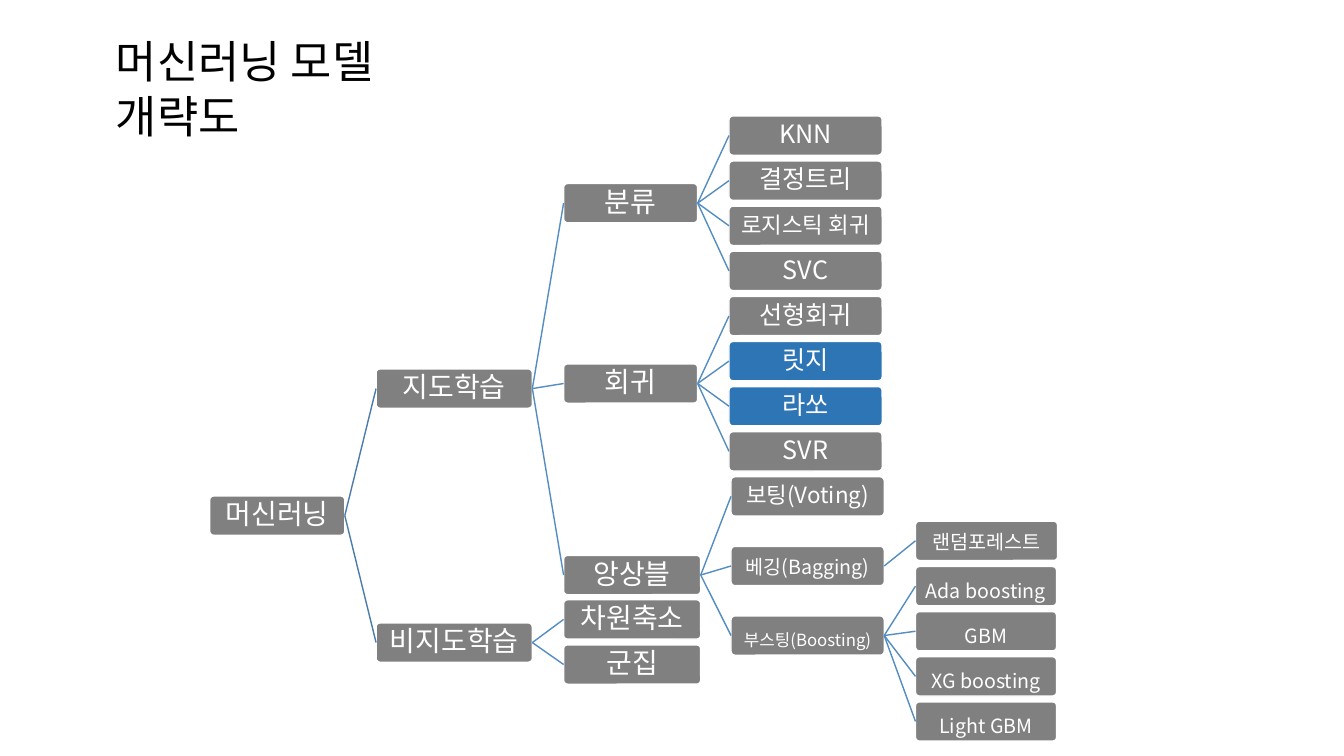
import pptx
import pptx.util
import pptx.dml.color
import pptx.enum.shapes
import pptx.enum.text
import pptx.oxml.ns
from lxml import etree
from pptx.util import Inches, Pt

RGBColor = pptx.dml.color.RGBColor
GRAY = RGBColor(0x80, 0x80, 0x80)
BLUE = RGBColor(0x2E, 0x75, 0xB6)
WHITE = RGBColor(0xFF, 0xFF, 0xFF)
BLACK = RGBColor(0, 0, 0)
ROOT_LINE = RGBColor(0x49, 0x7C, 0xAB)
BRANCH_LINE = RGBColor(0x53, 0x8D, 0xC1)
FONT = "Noto Sans CJK KR"
BOX_HEIGHT = 0.39
ROW = 0.4475
ROOT = "머신러닝"
HIGHLIGHTED = {"릿지", "라쏘"}
TIGHT = {"베깅(Bagging)", "랜덤포레스트"}

# parent, left, first top, pitch, width, [(label, size)]
GROUPS = [
    (None, 2.08, 4.92, 0, 1.34, [(ROOT, 20)]),
    (ROOT, 3.73, 3.66, 2.52, 1.55, [("지도학습", 20), ("비지도학습", 20)]),
    ("지도학습", 5.59, 1.82, 4 * ROW, 1.33, [("분류", 20), ("회귀", 20)]),
    ("분류", 7.23, 1.15, ROW, 1.52,
     [("KNN", 18), ("결정트리", 18), ("로지스틱 회귀", 16), ("SVC", 18)]),
    ("회귀", 7.23, 2.94, ROW, 1.52,
     [("선형회귀", 18), ("릿지", 18), ("라쏘", 18), ("SVR", 18)]),
    ("지도학습", 5.59, 5.51, 0, 1.36, [("앙상블", 20)]),
    ("앙상블", 7.25, 4.73, 0.69, 1.52,
     [("보팅(Voting)", 16), ("베깅(Bagging)", 14), ("부스팅(Boosting)", 12)]),
    ("베깅(Bagging)", 9.08, 5.17, 0, 1.41, [("랜덤포레스트", 14)]),
    ("부스팅(Boosting)", 9.08, 5.62, ROW, 1.4,
     [("Ada boosting", 14), ("GBM", 14), ("XG boosting", 14), ("Light GBM", 14)]),
    ("비지도학습", 5.59, 5.95, ROW, 1.36, [("차원축소", 20), ("군집", 20)]),
]


def add_run(paragraph, text, size, color):
    run = paragraph.add_run()
    run.text = text
    run.font.size = Pt(size)
    run.font.color.rgb = color
    run.font.name = FONT
    latin = run.font._element.find(pptx.oxml.ns.qn("a:latin"))
    east_asian = etree.Element(pptx.oxml.ns.qn("a:ea"), typeface=FONT)
    latin.addnext(east_asian)


presentation = pptx.Presentation()
presentation.slide_width = Inches(13.33)
presentation.slide_height = Inches(7.5)
slide = presentation.slides.add_slide(presentation.slide_layouts[5])

title = slide.shapes.title
title.left, title.top = Inches(1.05), Inches(0.28)
title.width, title.height = Inches(3.92), Inches(0.64)
title_frame = title.text_frame
title_frame.word_wrap = True
title_frame.auto_size = pptx.enum.text.MSO_AUTO_SIZE.NONE
title_frame.vertical_anchor = pptx.enum.text.MSO_ANCHOR.TOP
title_paragraph = title_frame.paragraphs[0]
title_paragraph.alignment = pptx.enum.text.PP_ALIGN.LEFT
title_paragraph.line_spacing = Pt(39)
add_run(title_paragraph, "머신러닝 모델 개략도", 32, BLACK)

boxes = {}
for parent, left, first_top, pitch, width, entries in GROUPS:
    for index, (label, size) in enumerate(entries):
        box = slide.shapes.add_shape(
            pptx.enum.shapes.MSO_SHAPE.ROUNDED_RECTANGLE,
            Inches(left), Inches(first_top + index * pitch),
            Inches(width), Inches(BOX_HEIGHT))
        boxes[label] = box
        box.adjustments[0] = 0.1
        box.shadow.inherit = False
        box.fill.solid()
        box.fill.fore_color.rgb = BLUE if label in HIGHLIGHTED else GRAY
        box.line.color.rgb = WHITE
        box.line.width = Pt(1)

        frame = box.text_frame
        frame.word_wrap = True
        frame.vertical_anchor = pptx.enum.text.MSO_ANCHOR.MIDDLE
        frame.margin_left = frame.margin_right = frame.margin_bottom = Inches(0.02)
        frame.margin_top = Inches(0.13 if size <= 14 else 0.02)
        paragraph = frame.paragraphs[0]
        paragraph.alignment = pptx.enum.text.PP_ALIGN.CENTER
        paragraph.line_spacing = Pt(10) if label in TIGHT else 0.9
        add_run(paragraph, label, size, WHITE)

        if parent:
            connector = slide.shapes.add_connector(
                pptx.enum.shapes.MSO_CONNECTOR.STRAIGHT, 0, 0, 0, 0)
            connector.begin_connect(boxes[parent], 3)
            connector.end_connect(box, 1)
            connector.line.color.rgb = ROOT_LINE if parent == ROOT else BRANCH_LINE
            connector.line.width = Pt(1)
            etree.SubElement(connector._element.spPr, pptx.oxml.ns.qn("a:effectLst"))

presentation.save("out.pptx")
